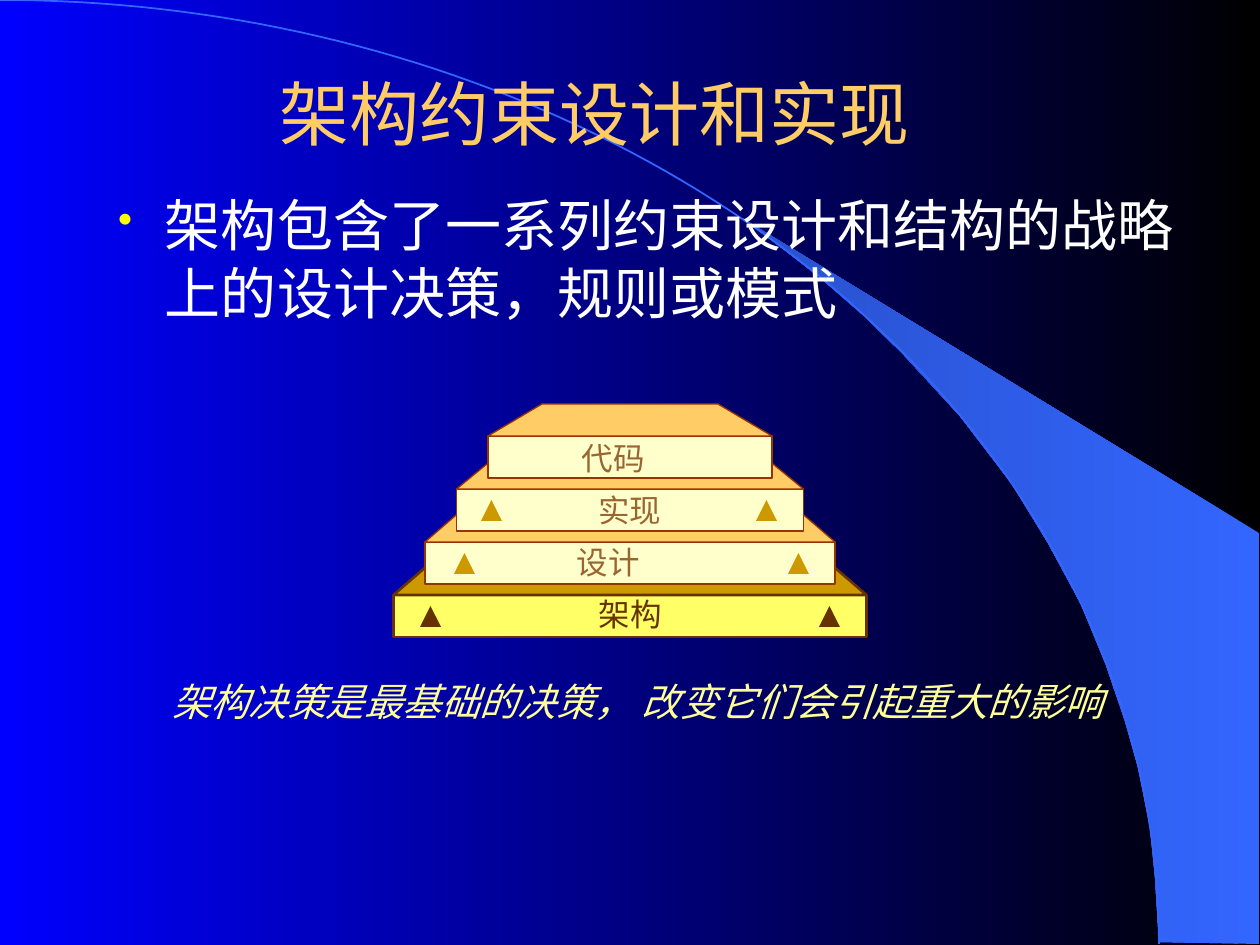
import math
from lxml import etree
from pptx import Presentation
from pptx.dml.color import RGBColor
from pptx.enum.shapes import MSO_SHAPE
from pptx.enum.text import MSO_ANCHOR, MSO_AUTO_SIZE, PP_ALIGN
from pptx.oxml.ns import qn
from pptx.util import Pt

RECTANGLE, TRIANGLE = MSO_SHAPE.RECTANGLE, MSO_SHAPE.ISOSCELES_TRIANGLE
LEFT, CENTER = PP_ALIGN.LEFT, PP_ALIGN.CENTER
TOP, MIDDLE = MSO_ANCHOR.TOP, MSO_ANCHOR.MIDDLE
NO_AUTOFIT = MSO_AUTO_SIZE.NONE

TITLE = "架构约束设计和实现"
BODY = "架构包含了一系列约束设计和结构的战略上的设计决策，规则或模式"
CAPTION = "架构决策是最基础的决策， 改变它们会引起重大的影响"

BASE_COLORS = dict(front="FFFF66", roof="CC9900", line="663300", text="663300",
                   mark="663300", weight=1.5)
TIER_COLORS = dict(front="FFFFCC", roof="FFCC66", line="993300", text="996633",
                   mark="CC9900", weight=0.75)
TIERS = [
    dict(label="架构", box=(525, 210), align=CENTER, inset=37, marks=(420, 819), colors=BASE_COLORS),
    dict(label="设计", box=(562, 136), align=LEFT, inset=37, marks=(454, 788), colors=TIER_COLORS),
    dict(label="实现", box=(504, 252), align=CENTER, inset=39, marks=(481, 756), colors=TIER_COLORS),
    dict(label="代码", box=(567, 126), align=LEFT, inset=54, marks=(), colors=TIER_COLORS),
]
SWOOSH = [
    (1159, 942), (1259, 944), (1259, 533), (742, 218), (786, 251), (823, 280),
    (863, 315), (902, 353), (960, 416), (1012, 484), (1048, 543), (1081, 604),
    (1106, 665), (1125, 721), (1138, 767), (1150, 827), (1155, 877),
]
ARC_WIDTH, ARC_HEIGHT, ARC_STEPS = 1159, 944, 90
PYRAMID_CENTER, BASE_TOP, BASE_WIDTH = 630, 595, 473
TIER_STEP, TIER_SHRINK, FRONT_HEIGHT, ROOF_HEIGHT = 53, 63, 42, 32
LABEL_TOP, LABEL_STEP, LABEL_HEIGHT = 587, 52, 53
MARK_SIZE, MARK_DROP = 21, 11


def px(length):
    return round(length * 914400 / 126)


def color(value):
    return RGBColor.from_string(value)


def set_gradient(fill, start, end):
    fill.gradient()
    fill.gradient_angle = 180
    for stop, value in zip(fill.gradient_stops, (start, end)):
        stop.color.rgb = color(value)


def style(shape, fill=None, line=None, weight=1):
    shape.shadow.inherit = False
    if fill:
        shape.fill.solid()
        shape.fill.fore_color.rgb = color(fill)
    else:
        shape.fill.background()
    if line:
        shape.line.color.rgb = color(line)
        shape.line.width = Pt(weight)
    else:
        shape.line.fill.background()
    return shape


def add_outline(shapes, points, close=True, **look):
    scaled = [(px(x), px(y)) for x, y in points]
    builder = shapes.build_freeform(*scaled[0])
    builder.add_line_segments(scaled[1:], close=close)
    return style(builder.convert_to_shape(), **look)


def add_preset(shapes, kind, left, top, width, height, **look):
    return style(shapes.add_shape(kind, px(left), px(top), px(width), px(height)), **look)


def add_bullet(paragraph, indent, character, value, percent):
    properties = paragraph._p.get_or_add_pPr()
    properties.set("marL", str(px(indent)))
    properties.set("indent", str(-px(indent)))
    bullet_color = etree.SubElement(properties, qn("a:buClr"))
    etree.SubElement(bullet_color, qn("a:srgbClr")).set("val", value)
    etree.SubElement(properties, qn("a:buSzPct")).set("val", str(percent * 1000))
    etree.SubElement(properties, qn("a:buChar")).set("char", character)


def write(shape, text, box, size, value, font="Arial", align=LEFT, anchor=TOP,
          italic=False, insets=(15, 8, 15, 8), bullet=None):
    shape.left, shape.top, shape.width, shape.height = map(px, box)
    frame = shape.text_frame
    frame.word_wrap = True
    frame.auto_size = NO_AUTOFIT
    frame.vertical_anchor = anchor
    (frame.margin_left, frame.margin_top,
     frame.margin_right, frame.margin_bottom) = map(px, insets)
    paragraph = frame.paragraphs[0]
    paragraph.alignment = align
    if bullet:
        add_bullet(paragraph, *bullet)
    run = paragraph.add_run()
    run.text = text
    run.font.size = Pt(size)
    run.font.name = font
    run.font.italic = italic
    run.font.color.rgb = color(value)


def add_text(shapes, text, box, size, value, **format):
    write(shapes.add_textbox(0, 0, 0, 0), text, box, size, value, **format)


def add_tier(shapes, index, tier):
    colors = tier["colors"]
    border = dict(line=colors["line"], weight=colors["weight"])
    top = BASE_TOP - TIER_STEP * index
    width = BASE_WIDTH - TIER_SHRINK * index
    left = PYRAMID_CENTER - width / 2
    right = left + width
    roof_top = top - ROOF_HEIGHT
    add_preset(shapes, RECTANGLE, left, top, width, FRONT_HEIGHT, fill=colors["front"], **border)
    roof = [(left, top), (right, top),
            (right - tier["inset"], roof_top), (left + tier["inset"], roof_top)]
    add_outline(shapes, roof, fill=colors["roof"], **border)
    label_left, label_width = tier["box"]
    label_box = (label_left, LABEL_TOP - LABEL_STEP * index, label_width, LABEL_HEIGHT)
    add_text(shapes, tier["label"], label_box, 18, colors["text"], align=tier["align"])
    for mark_left in tier["marks"]:
        add_preset(shapes, TRIANGLE, mark_left, top + MARK_DROP, MARK_SIZE, MARK_SIZE,
                   fill=colors["mark"])


def main():
    presentation = Presentation()
    presentation.slide_width, presentation.slide_height = px(1260), px(945)
    slide = presentation.slides.add_slide(presentation.slide_layouts[5])
    shapes = slide.shapes
    set_gradient(slide.background.fill, "000000", "0000FF")

    swoosh = add_outline(shapes, SWOOSH)
    set_gradient(swoosh.fill, "3366FF", "2851CC")
    angles = [math.pi / 2 * step / ARC_STEPS for step in range(ARC_STEPS + 1)]
    arc = [(ARC_WIDTH * math.sin(angle), ARC_HEIGHT * (1 - math.cos(angle))) for angle in angles]
    add_outline(shapes, arc, close=False, line="3366FF")

    title = shapes.title
    shapes._spTree.append(title._element)
    write(title, TITLE, (94, 84, 1071, 58), 40, "FFCC66", align=CENTER, anchor=MIDDLE,
          insets=(13, 6, 83, 6))
    add_text(shapes, BODY, (105, 185, 1104, 456), 32, "FFFFFF", font="Times New Roman",
             insets=(13, 6, 13, 6), bullet=(47, "•", "FFFF00", 75))
    add_text(shapes, CAPTION, (123, 670, 1029, 62), 22, "FFFF99", align=CENTER, italic=True)
    for index, tier in enumerate(TIERS):
        add_tier(shapes, index, tier)
    presentation.save("out.pptx")


if __name__ == "__main__":
    main()
